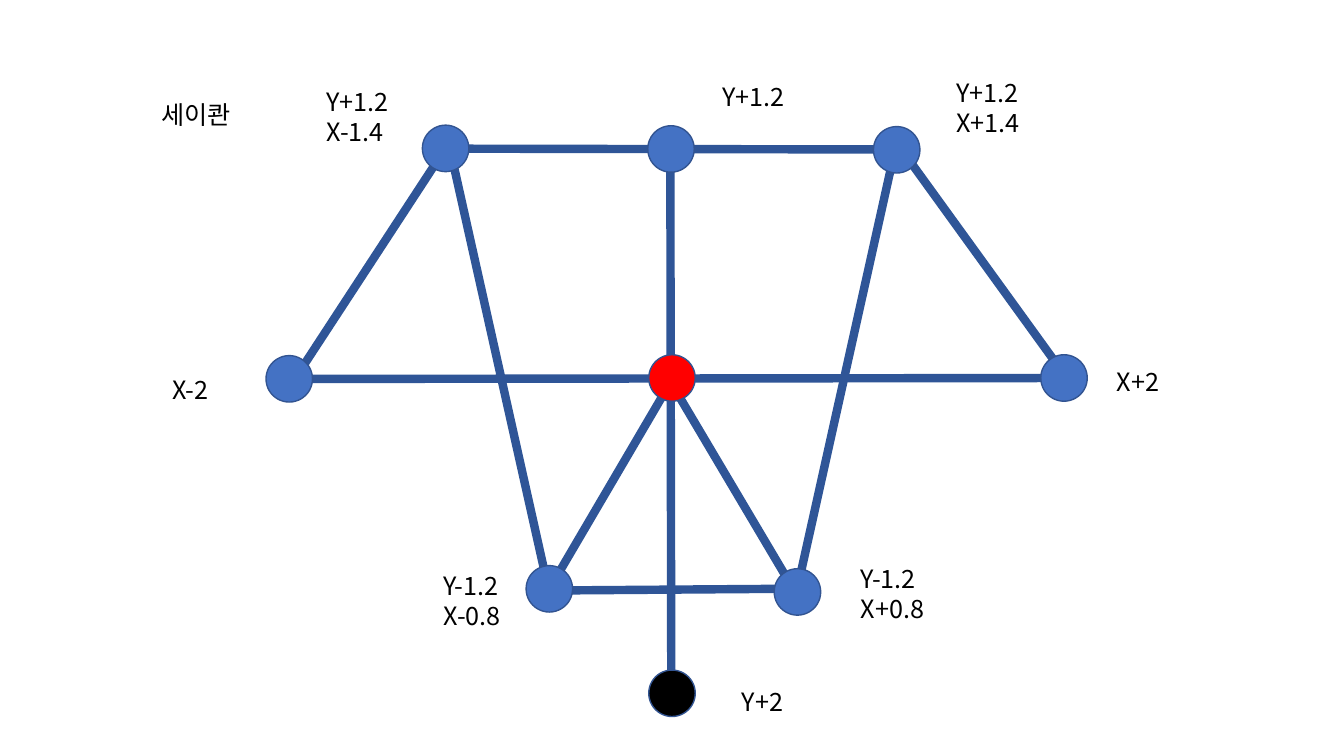
"""Build the Seikuan node diagram with its coordinate offsets."""
import pptx
import pptx.util
import pptx.dml.color
import pptx.oxml.ns
import pptx.enum.shapes
import pptx.enum.text
import lxml.etree

Pt = pptx.util.Pt
RGBColor = pptx.dml.color.RGBColor
FONT = "Noto Sans CJK KR"
LINK = RGBColor(0x2F, 0x55, 0x97)
OUTLINE = RGBColor(0x32, 0x54, 0x91)
BLUE = RGBColor(0x44, 0x72, 0xC4)
RED = RGBColor(0xFF, 0x00, 0x00)
BLACK = RGBColor(0x00, 0x00, 0x00)
DIAMETER = 33.2

prs = pptx.Presentation()
prs.slide_width, prs.slide_height = Pt(960), Pt(540)
s = prs.slides.add_slide(prs.slide_layouts[6])

links = [
    (478.8, 105.8, 479.5, 489.6),
    (381.6, 421.9, 569.5, 420.5),
    (391.7, 421.9, 479.5, 272.2),
    (569.5, 425.5, 479.5, 273.6),
    (320.4, 106.2, 639.4, 106.8),
    (642.2, 104.4, 762.5, 270.7),
    (639.4, 106.6, 569.5, 420.5),
    (211, 270.7, 766.1, 270),
    (319.7, 103.7, 211, 270),
    (319.7, 98.6, 391.7, 420.5),
]
for ends in links:
    cxn = s.shapes.add_connector(
        pptx.enum.shapes.MSO_CONNECTOR.STRAIGHT, *[Pt(v) for v in ends])
    cxn.line.color.rgb = LINK
    cxn.line.width = Pt(6)
    lxml.etree.SubElement(cxn._element.spPr, pptx.oxml.ns.qn("a:effectLst"))

nodes = [
    (190, 254, BLUE),
    (463.4, 253.4, RED),
    (743.4, 253.4, BLUE),
    (463.4, 478.6, BLACK),
    (301.7, 89.4, BLUE),
    (623.9, 90.4, BLUE),
    (375.8, 404, BLUE),
    (553, 406.2, BLUE),
    (462.7, 89.8, BLUE),
]
for left, top, color in nodes:
    sp = s.shapes.add_shape(
        pptx.enum.shapes.MSO_SHAPE.OVAL, Pt(left), Pt(top), Pt(DIAMETER), Pt(DIAMETER))
    sp.shadow.inherit = False
    sp.fill.solid()
    sp.fill.fore_color.rgb = color
    sp.line.color.rgb = OUTLINE
    sp.line.width = Pt(1)

labels = [
    (108, 67.7, 69.1, ["세이콴"]),
    (790.6, 257.8, 48.2, ["X+2"]),
    (115.9, 263.5, 43.2, ["X-2"]),
    (509, 54.7, 61.2, ["Y+1.2"]),
    (522.7, 486.7, 47.5, ["Y+2"]),
    (676.1, 51.8, 61.9, ["Y+1.2", "X+1.4"]),
    (226.1, 58.3, 61.2, ["Y+1.2", "X-1.4"]),
    (607.7, 398.9, 61.9, ["Y-1.2", "X+0.8"]),
    (309.6, 403.9, 56.9, ["Y-1.2", "X-0.8"]),
]
for left, top, width, lines in labels:
    height = 7.2 + 21.8 * len(lines)
    tf = s.shapes.add_textbox(Pt(left), Pt(top), Pt(width), Pt(height)).text_frame
    tf.word_wrap = False
    tf.auto_size = pptx.enum.text.MSO_AUTO_SIZE.SHAPE_TO_FIT_TEXT
    tf.text = "\n".join(lines)
    for p in tf.paragraphs:
        for r in p.runs:
            r.font.size = Pt(18)
            r.font.name = FONT
            r.font.color.rgb = BLACK
            ea = lxml.etree.SubElement(r._r.rPr, pptx.oxml.ns.qn("a:ea"))
            ea.set("typeface", FONT)

prs.save("out.pptx")
